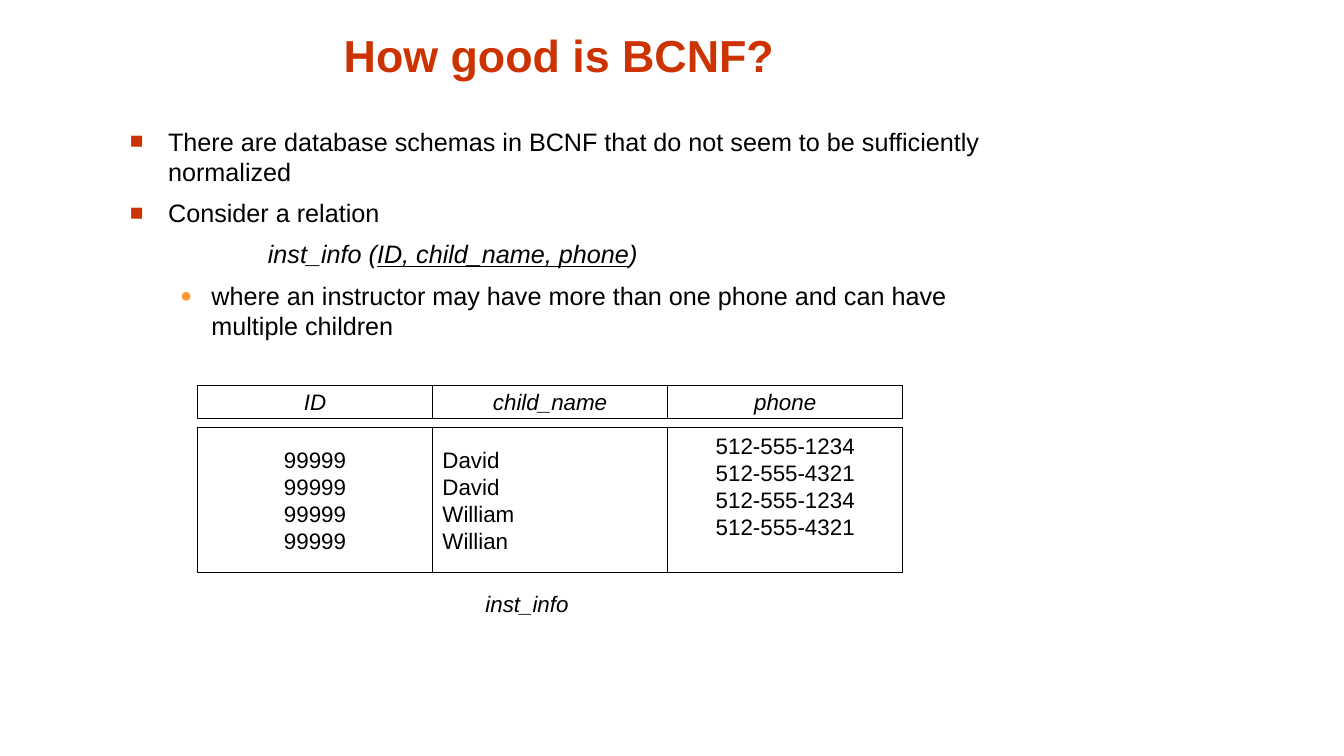
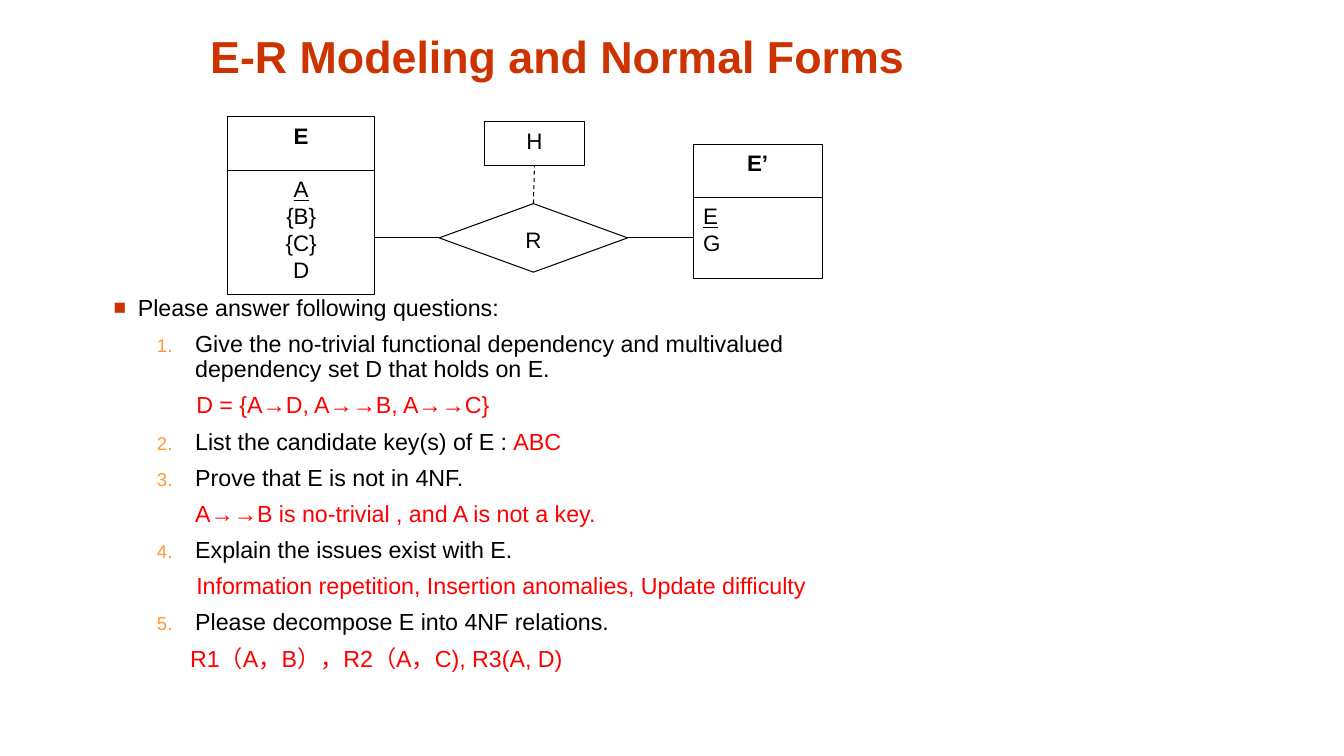
"""Build two slides on BCNF, E-R modeling and normal forms."""
import pptx
import pptx.chart.data
import pptx.dml.color
import pptx.enum.dml
import pptx.enum.shapes
import pptx.enum.text
import pptx.oxml.ns
import pptx.util
from lxml import etree

Inches = pptx.util.Inches
Pt = pptx.util.Pt
RGBColor = pptx.dml.color.RGBColor
SHAPE = pptx.enum.shapes.MSO_SHAPE
ALIGN = pptx.enum.text.PP_ALIGN
ANCHOR = pptx.enum.text.MSO_ANCHOR
qn = pptx.oxml.ns.qn

FONT = "Arial"
BLACK = RGBColor(0x00, 0x00, 0x00)
WHITE = RGBColor(0xFF, 0xFF, 0xFF)
BRICK = RGBColor(0xCC, 0x33, 0x00)
AMBER = RGBColor(0xFF, 0x99, 0x33)
RED = RGBColor(0xFF, 0x00, 0x00)
SQUARE = ("buChar", {"char": "■"}, BRICK, 90)
DOT = ("buChar", {"char": "●"}, AMBER, 80)


def add_box(slide, kind, area, lines, align=ALIGN.CENTER, anchor=ANCHOR.TOP,
            fill=None, bold=False, italic=False, key=None):
    """Draw an outlined shape with one paragraph a line; underline the key."""
    shape = slide.shapes.add_shape(kind, *[Inches(n) for n in area])
    shape.shadow.inherit = False
    if fill is None:
        shape.fill.background()
    else:
        shape.fill.solid()
        shape.fill.fore_color.rgb = fill
    shape.line.color.rgb = BLACK
    shape.line.width = Pt(0.75)
    frame = shape.text_frame
    frame.word_wrap = True
    frame.vertical_anchor = anchor
    frame.text = "\n".join(lines)
    for para in frame.paragraphs:
        para.alignment = align
        font = para.font
        font.name, font.size, font.color.rgb = FONT, Pt(16), BLACK
        font.bold, font.italic = bold, italic
        if para.text == key:
            font.underline = True
    return shape


def add_item(frame, text, size, left, hang=0, mark=None, color=BLACK, italic=False):
    """Add a list paragraph with an optional bullet or number."""
    first = not frame.text
    para = frame.paragraphs[0] if first else frame.add_paragraph()
    props = para._p.get_or_add_pPr()
    props.set("marL", str(Inches(left)))
    props.set("indent", str(-Inches(hang)))
    if mark:
        tag, attrs, tint, scale = mark
        paint = etree.SubElement(props, qn("a:buClr"))
        etree.SubElement(paint, qn("a:srgbClr"), val=str(tint))
        etree.SubElement(props, qn("a:buSzPct"), val=str(scale * 1000))
        etree.SubElement(props, qn("a:buFont"), typeface=FONT)
        etree.SubElement(props, qn("a:" + tag), **attrs)
    else:
        etree.SubElement(props, qn("a:buNone"))
    para.space_before = Pt(0 if first else 7.9)
    font = para.font
    font.name, font.size, font.color.rgb, font.italic = FONT, Pt(size), color, italic
    para.add_run().text = text
    return para


deck = pptx.Presentation()
deck.slide_width, deck.slide_height = Inches(13.34), Inches(7.5)

pages, bodies = [], []
for name, head, area in [
    ("How good is BCNF?", (3.22, 0.17, 4.66, 0.69), (1.19, 1.2, 8.65, 2.4)),
    ("E-R Modeling and Normal Forms", (1.64, 0.18, 7.79, 0.69), (1.03, 2.89, 7.6, 4)),
]:
    slide = deck.slides.add_slide(deck.slide_layouts[5])
    title = slide.shapes.title
    title.left, title.top, title.width, title.height = [Inches(n) for n in head]
    title.text_frame.text = name
    title.text_frame.vertical_anchor = ANCHOR.BOTTOM
    para = title.text_frame.paragraphs[0]
    para.alignment = ALIGN.CENTER
    font = para.font
    font.name, font.size, font.bold, font.color.rgb = FONT, Pt(32), True, BRICK
    body = slide.shapes.add_textbox(*[Inches(n) for n in area]).text_frame
    body.word_wrap = True
    pages.append(slide)
    bodies.append(body)

slide, body = pages[0], bodies[0]
add_item(body, "There are database schemas in BCNF that do not seem to be "
         "sufficiently normalized", 18, 0.38, 0.38, SQUARE)
add_item(body, "Consider a relation", 18, 0.38, 0.38, SQUARE)
para = add_item(body, "inst_info (", 18, 1.37, italic=True)
run = para.add_run()
run.text = "ID, child_name, phone"
run.font.underline = True
para.add_run().text = ")"
add_item(body, "where an instructor may have more than one phone and can have "
         "multiple children", 18, 0.81, 0.31, DOT)

wide = 7 / 3
for col, (name, cells, align) in enumerate([
    ("ID", ["99999"] * 4, ALIGN.CENTER),
    ("child_name", ["David", "David", "William", "Willian"], ALIGN.LEFT),
    ("phone", ["512-555-1234", "512-555-4321"] * 2, ALIGN.CENTER),
]):
    left = 1.96 + col * wide
    add_box(slide, SHAPE.RECTANGLE, (left, 3.82, wide, 0.33), [name],
            anchor=ANCHOR.MIDDLE, fill=WHITE, italic=True)
    cell = add_box(slide, SHAPE.RECTANGLE, (left, 4.24, wide, 1.44), cells, align,
                   ANCHOR.MIDDLE, WHITE)
    if name == "phone":
        cell.text_frame.margin_bottom = Inches(0.32)

label = slide.shapes.add_textbox(Inches(4.72), Inches(5.81), Inches(1.1), Inches(0.37))
add_item(label.text_frame, "inst_info", 16, 0, italic=True)

slide, body = pages[1], bodies[1]
add_item(body, "Please answer following questions:", 16.6, 0.24, 0.24, SQUARE)
for num, (ask, reply, left) in enumerate([
    ("Give the no-trivial functional dependency and multivalued dependency set D "
     "that holds on E.", "D = {A→D, A→→B, A→→C}", 0.82),
    ("List the candidate key(s) of E : ", None, None),
    ("Prove that E is not in 4NF.", "A→→B is no-trivial , and A is not a key.", 0.81),
    ("Explain the issues exist with E.",
     "Information repetition, Insertion anomalies, Update difficulty", 0.82),
    ("Please decompose E into 4NF relations.", "R1（A，B），R2（A，C), R3(A, D)", 0.76),
], 1):
    mark = ("buAutoNum", {"type": "arabicPeriod", "startAt": str(num)}, AMBER, 80)
    para = add_item(body, ask, 16.6, 0.81, 0.38, mark)
    if reply:
        add_item(body, reply, 16.6, left, color=RED)
    else:
        run = para.add_run()
        run.text = "ABC"
        run.font.color.rgb = RED
for para in body.paragraphs:
    para.line_spacing = 0.9

add_box(slide, SHAPE.RECTANGLE, (2.26, 1.16, 1.46, 0.53), ["E"], bold=True)
add_box(slide, SHAPE.RECTANGLE, (2.26, 1.69, 1.46, 1.23), ["A", "{B}", "{C}", "D"],
        key="A")
add_box(slide, SHAPE.RECTANGLE, (6.88, 1.43, 1.28, 0.53), ["E’"], bold=True)
right = add_box(slide, SHAPE.RECTANGLE, (6.88, 1.96, 1.28, 0.8), ["E", "G"],
                ALIGN.LEFT, key="E")
link = add_box(slide, SHAPE.DIAMOND, (4.36, 2.02, 1.87, 0.68), ["R"])
attr = add_box(slide, SHAPE.RECTANGLE, (4.81, 1.21, 0.99, 0.43), ["H"])

for side, end, spot, dash in [(1, None, None, False), (3, right, 1, False),
                              (0, attr, 2, True)]:
    line = slide.shapes.add_connector(
        pptx.enum.shapes.MSO_CONNECTOR.STRAIGHT,
        Inches(4.36), Inches(2.36), Inches(3.72), Inches(2.36))
    line.begin_connect(link, side)
    if end is not None:
        line.end_connect(end, spot)
    line.line.color.rgb = BLACK
    line.line.width = Pt(0.75)
    if dash:
        line.line.dash_style = pptx.enum.dml.MSO_LINE.DASH
    etree.SubElement(line._element.spPr, qn("a:effectLst"))

deck.save("out.pptx")
